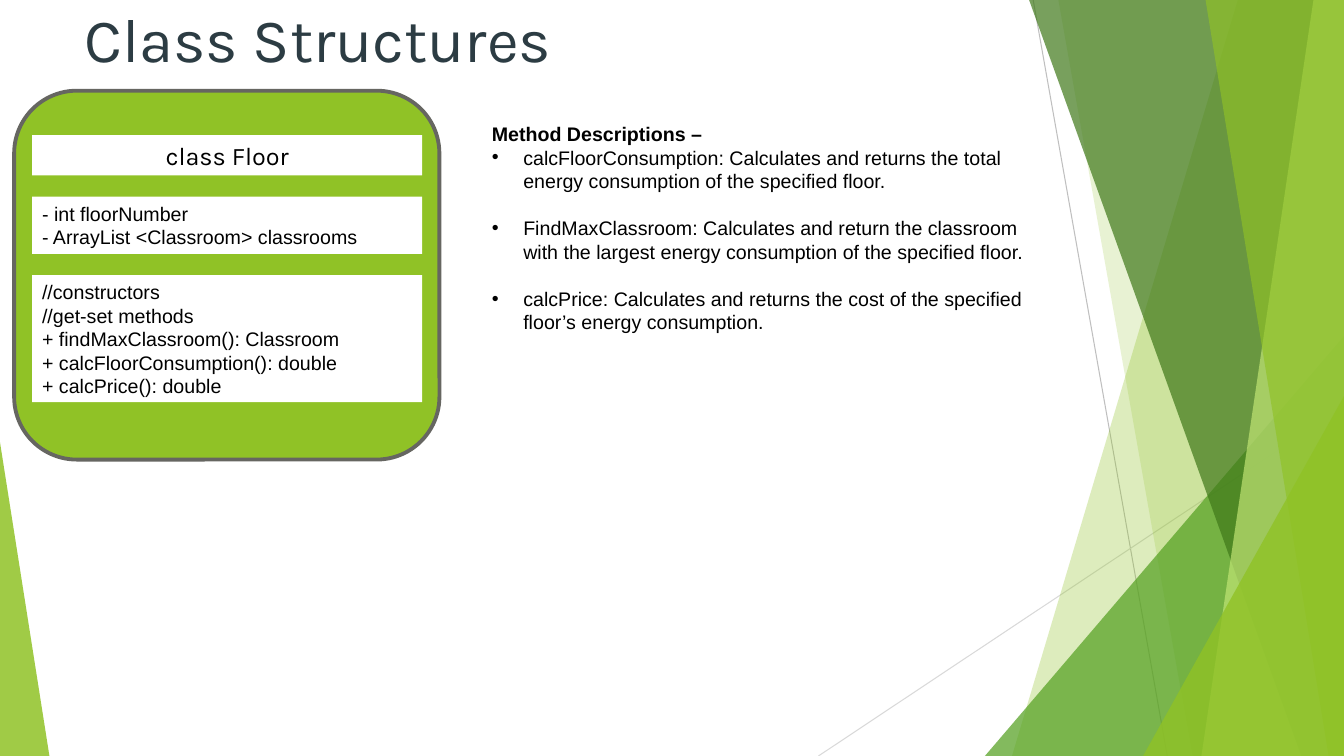
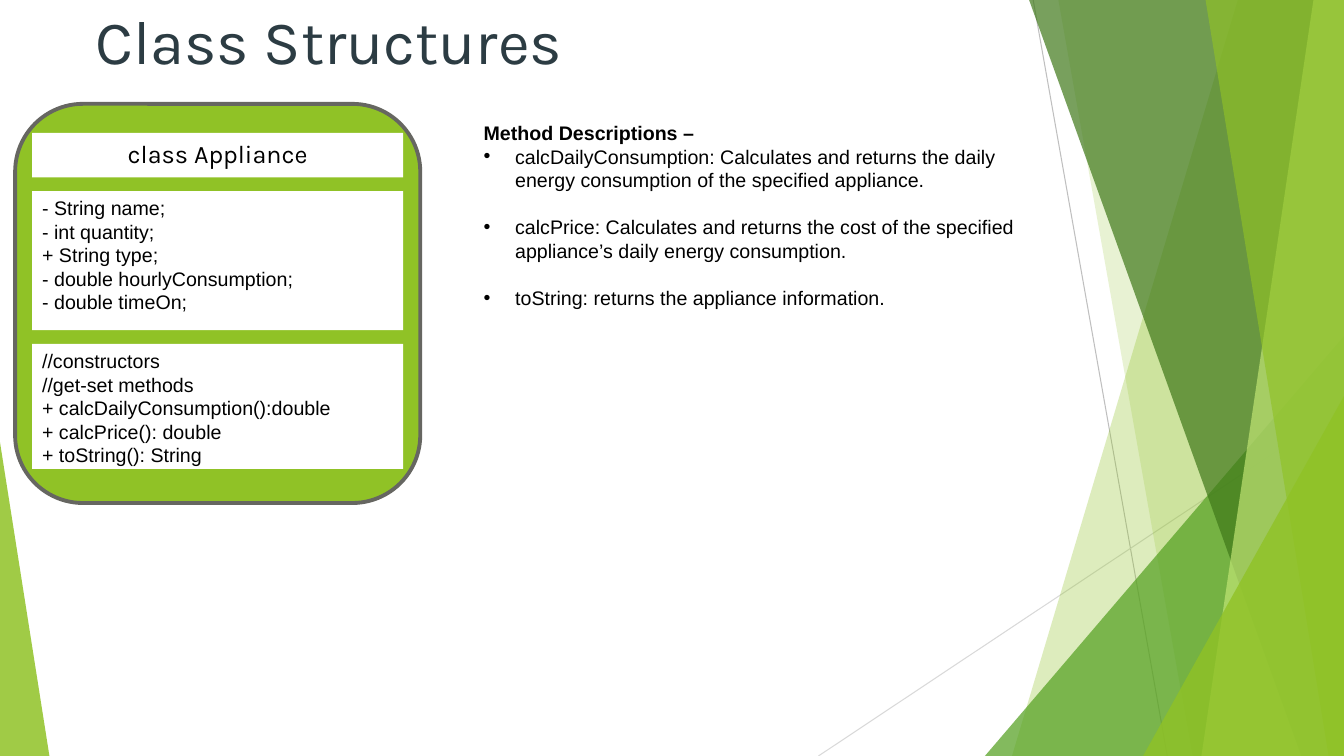
from dataclasses import dataclass
from typing import Any

from lxml.etree import SubElement
from pptx import Presentation
from pptx.dml.color import RGBColor
from pptx.enum.shapes import MSO_CONNECTOR, MSO_SHAPE
from pptx.enum.text import MSO_ANCHOR, MSO_AUTO_SIZE, PP_ALIGN
from pptx.oxml.ns import qn
from pptx.util import Pt

WHITE = RGBColor(0xFF, 0xFF, 0xFF)
BLACK = RGBColor(0x00, 0x00, 0x00)
SLATE = RGBColor(0x2C, 0x3C, 0x43)
EDGE = RGBColor(0x66, 0x66, 0x61)
LIME = RGBColor(0x90, 0xC2, 0x26)
PALE = RGBColor(0xC0, 0xE4, 0x74)
GREEN = RGBColor(0x54, 0xA0, 0x21)
FOREST = RGBColor(0x3F, 0x78, 0x19)
GRAY = RGBColor(0xBF, 0xBF, 0xBF)
SILVER = RGBColor(0xD9, 0xD9, 0xD9)

WIDTH, HEIGHT = 960, 540
INDENT = 22.5
BODY = {"name": "Arial", "size": Pt(14)}
BOLD = BODY | {"bold": True}
HEAD = {"name": "Karla", "size": Pt(18)}
TITLE = {"name": "Karla", "size": Pt(44)}
INSETS = {
    "margin_left": Pt(7.2), "margin_right": Pt(7.2),
    "margin_top": Pt(3.6), "margin_bottom": Pt(3.6),
    "word_wrap": True, "vertical_anchor": MSO_ANCHOR.TOP,
}


@dataclass(frozen=True)
class Box:
    left: float
    top: float
    width: float
    height: float

    def points(self) -> tuple[Pt, Pt, Pt, Pt]:
        return Pt(self.left), Pt(self.top), Pt(self.width), Pt(self.height)


@dataclass(frozen=True)
class Wedge:
    """A band from a slanted left edge to the right side of the slide."""
    top: float
    bottom: float
    color: RGBColor
    alpha: int


@dataclass(frozen=True)
class Peak:
    """A right triangle standing on the bottom of the slide."""
    left: float
    width: float
    height: float
    tip: float
    color: RGBColor
    alpha: int


@dataclass(frozen=True)
class Panel:
    height: float
    lines: list[str]


@dataclass(frozen=True)
class Page:
    title: Box
    card: Box
    inner: Box  # first panel; the others stack below it
    gap: float
    name: str
    panels: list[Panel]
    notes: Box
    methods: list[str]


RAYS = [
    (738, 0, 833.8, HEIGHT, GRAY),
    (WIDTH, 290.2, 584.6, HEIGHT, SILVER),
]
FACETS = [
    Wedge(884.2, 722.9, LIME, 30),
    Wedge(756, 851.8, LIME, 20),
    Peak(703.5, 256.5, 300, 1, GREEN, 72),
    Wedge(735.1, 929.5, FOREST, 70),
    Wedge(938.2, 858.2, PALE, 70),
    Wedge(861.1, 949, LIME, 65),
    Peak(816.5, 143.5, 257, 1, LIME, 80),
    Peak(0, 35.3, 224, 0, LIME, 85),
]

PAGES = [
    Page(
        Box(53.3, 3.6, 676.8, 103.7), Box(10.1, 64.8, 303.8, 263.5),
        Box(23, 96.5, 278.6, 28.8), 15.1, "class Floor",
        [
            Panel(41, ["- int floorNumber", "- ArrayList <Classroom> classrooms"]),
            Panel(90.7, [
                "//constructors",
                "//get-set methods",
                "+ findMaxClassroom(): Classroom",
                "+ calcFloorConsumption(): double",
                "+ calcPrice(): double",
            ]),
        ],
        Box(344.2, 83.5, 398.9, 159.8),
        [
            "calcFloorConsumption: Calculates and returns the total energy consumption of the specified floor.",
            "FindMaxClassroom: Calculates and return the classroom with the largest energy consumption of the specified floor.",
            "calcPrice: Calculates and returns the cost of the specified floor’s energy consumption.",
        ],
    ),
    Page(
        Box(61.2, 5, 676.8, 103.7), Box(10.8, 74.2, 289.4, 285.1),
        Box(23, 95, 265, 31.7), 9.8, "class Appliance",
        [
            Panel(99.4, [
                "- String name;",
                "- int quantity;",
                "+ String type;",
                "- double hourlyConsumption;",
                "- double timeOn;",
            ]),
            Panel(89.3, [
                "//constructors",
                "//get-set methods",
                "+ calcDailyConsumption():double",
                "+ calcPrice(): double",
                "+ toString(): String",
            ]),
        ],
        Box(338.4, 82.8, 398.9, 143.3),
        [
            "calcDailyConsumption: Calculates and returns the daily energy consumption of the specified appliance.",
            "calcPrice: Calculates and returns the cost of the specified appliance’s daily energy consumption.",
            "toString: returns the appliance information.",
        ],
    ),
]


def apply(target: Any, values: dict[str, Any]) -> None:
    for name, value in values.items():
        setattr(target, name, value)


def place(shape: Any, box: Box) -> None:
    apply(shape, dict(zip(("left", "top", "width", "height"), box.points())))


def paint(shape: Any, color: RGBColor, alpha: int = 100) -> None:
    """Give a flat fill, without line or shadow; alpha is in percent."""
    shape.shadow.inherit = False
    shape.line.fill.background()
    shape.fill.solid()
    shape.fill.fore_color.rgb = color
    if alpha < 100:
        tint = next(shape.element.iter(qn("a:srgbClr")))
        SubElement(tint, qn("a:alpha"), val=str(alpha * 1000))


def write(para: Any, text: str, font: dict[str, Any],
          color: RGBColor = BLACK, align: PP_ALIGN = PP_ALIGN.LEFT) -> None:
    para.alignment = align
    run = para.add_run()
    run.text = text
    apply(run.font, font)
    run.font.color.rgb = color


def fill(frame: Any, lines: list[str], font: dict[str, Any],
         align: PP_ALIGN = PP_ALIGN.LEFT) -> None:
    apply(frame, INSETS)
    for index, line in enumerate(lines):
        para = frame.add_paragraph() if index else frame.paragraphs[0]
        write(para, line, font, align=align)


def bullet(para: Any) -> None:
    props = para._p.get_or_add_pPr()
    props.set("marL", str(Pt(INDENT)))
    props.set("indent", str(-Pt(INDENT)))
    tint = SubElement(props, qn("a:buClr"))
    SubElement(tint, qn("a:srgbClr"), val=str(BLACK))
    SubElement(props, qn("a:buFont"), typeface="Arial")
    SubElement(props, qn("a:buChar"), char="•")


def draw_wedge(shapes: Any, wedge: Wedge) -> Any:
    path = shapes.build_freeform(Pt(wedge.top), 0)
    corners = [(WIDTH, 0), (WIDTH, HEIGHT), (wedge.bottom, HEIGHT)]
    path.add_line_segments([(Pt(x), Pt(y)) for x, y in corners])
    return path.convert_to_shape()


def draw_peak(shapes: Any, peak: Peak) -> Any:
    box = Box(peak.left, HEIGHT - peak.height, peak.width, peak.height)
    shape = shapes.add_shape(MSO_SHAPE.ISOSCELES_TRIANGLE, *box.points())
    shape.adjustments[0] = peak.tip
    return shape


def add_decor(slide: Any) -> None:
    """Draw the facets as a group and move it to the layout all slides share."""
    group = slide.shapes.add_group_shape()
    for left, top, right, bottom, color in RAYS:
        ray = group.shapes.add_connector(
            MSO_CONNECTOR.STRAIGHT, Pt(left), Pt(top), Pt(right), Pt(bottom))
        ray.line.color.rgb = color
        ray.line.width = Pt(0.75)
        SubElement(ray.element.spPr, qn("a:effectLst"))
    for facet in FACETS:
        draw = draw_wedge if isinstance(facet, Wedge) else draw_peak
        paint(draw(group.shapes, facet), facet.color, facet.alpha)
    slide.slide_layout.shapes.element.append(group.element)


def add_title(slide: Any, box: Box) -> None:
    title = slide.shapes.title
    place(title, box)
    frame = title.text_frame
    apply(frame, INSETS | {"auto_size": MSO_AUTO_SIZE.NONE})
    para = frame.paragraphs[0]
    para.line_spacing = 0.89
    write(para, "Class Structures", TITLE, SLATE)


def add_card(slide: Any, page: Page) -> None:
    shapes = slide.shapes.add_group_shape().shapes
    card = shapes.add_shape(MSO_SHAPE.ROUNDED_RECTANGLE, *page.card.points())
    card.adjustments[0] = 0.17
    paint(card, LIME)
    card.line.color.rgb = EDGE
    card.line.width = Pt(2.75)
    top = page.inner.top
    for index, panel in enumerate([Panel(page.inner.height, [page.name]), *page.panels]):
        box = Box(page.inner.left, top, page.inner.width, panel.height)
        shape = shapes.add_shape(MSO_SHAPE.RECTANGLE, *box.points())
        paint(shape, WHITE)
        if index:
            fill(shape.text_frame, panel.lines, BODY)
        else:
            fill(shape.text_frame, panel.lines, HEAD, PP_ALIGN.CENTER)
        top += panel.height + page.gap


def add_notes(slide: Any, page: Page) -> None:
    frame = slide.shapes.add_textbox(*page.notes.points()).text_frame
    fill(frame, ["Method Descriptions –"], BOLD)
    frame.auto_size = MSO_AUTO_SIZE.SHAPE_TO_FIT_TEXT
    for index, method in enumerate(page.methods):
        para = frame.add_paragraph()
        bullet(para)
        para.space_before = Pt(16.8 if index else 0)
        write(para, method, BODY)


def main() -> None:
    deck = Presentation()
    deck.slide_width, deck.slide_height = Pt(WIDTH), Pt(HEIGHT)
    layout = deck.slide_layouts[5]
    for holder in list(layout.placeholders)[1:]:
        layout.shapes.element.remove(holder.element)
    for index, page in enumerate(PAGES):
        slide = deck.slides.add_slide(layout)
        if index == 0:
            add_decor(slide)
        add_title(slide, page.title)
        add_card(slide, page)
        add_notes(slide, page)
    deck.save("out.pptx")


if __name__ == "__main__":
    main()
